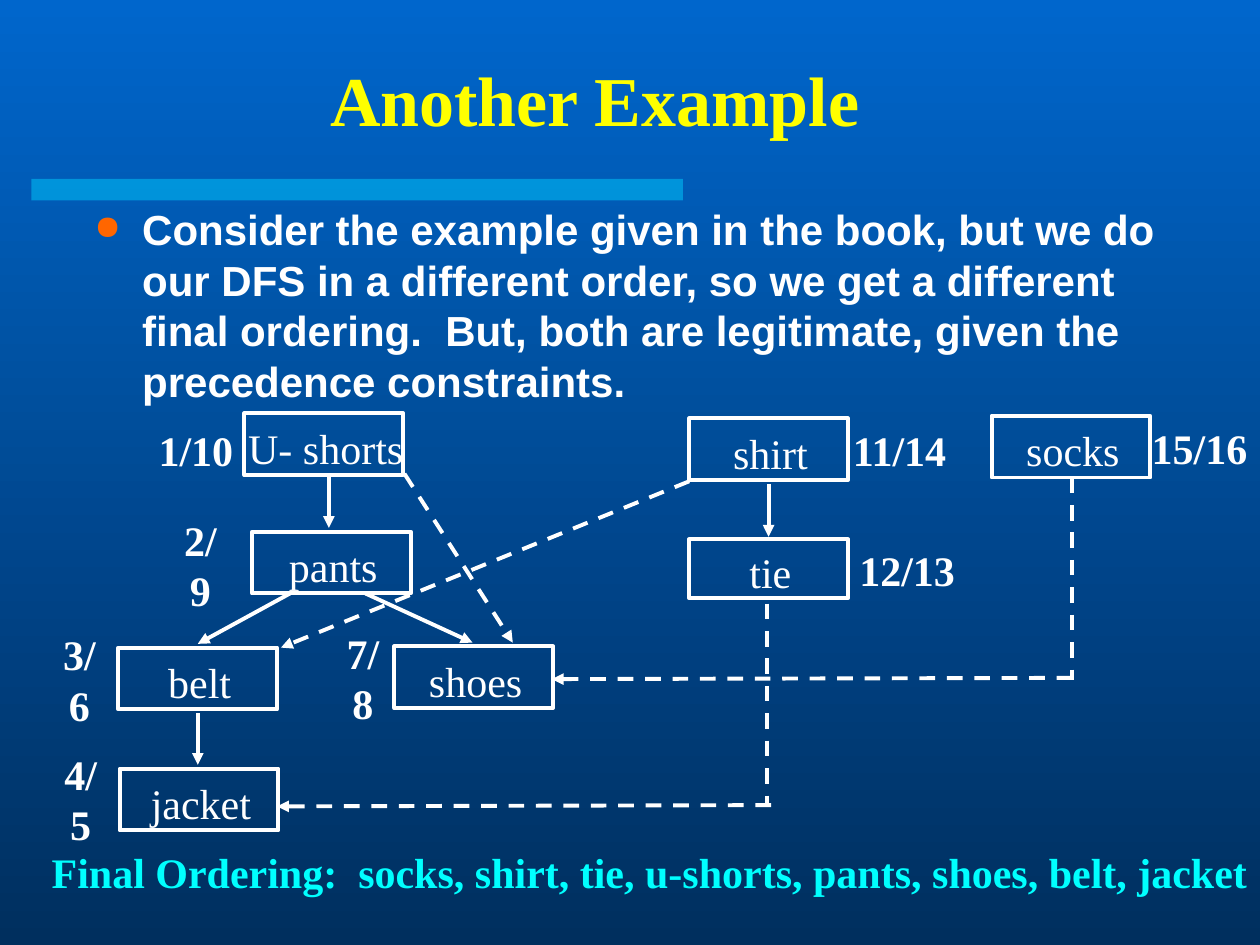
"""Build the slide that shows a topological ordering of clothes by DFS finish times."""
from lxml import etree
from pptx import Presentation
from pptx.dml.color import RGBColor
from pptx.enum import dml, shapes, text
from pptx.oxml import ns
from pptx.util import Inches, Pt

THEME = {
    "top": RGBColor.from_string("0066CC"),
    "bottom": RGBColor.from_string("002F5E"),
    "bar": RGBColor.from_string("00CCFF"),
    "title": RGBColor.from_string("FFFF00"),
    "ink": RGBColor.from_string("FFFFFF"),
    "result": RGBColor.from_string("00FFFF"),
    "bullet": "FF6600",
    "serif": "Times New Roman",
    "sans": "Arial",
    "title_size": Pt(40),
    "size": Pt(24),
    "line": Pt(2.25),
}


def write(shape, words, color="ink", face="serif", size="size", bold=True,
          align=text.PP_ALIGN.CENTER, **frame_format):
    frame = shape.text_frame
    settings = {"word_wrap": False, "vertical_anchor": text.MSO_ANCHOR.MIDDLE, **frame_format}
    for name, value in settings.items():
        setattr(frame, name, value)
    para = frame.paragraphs[0]
    para.alignment = align
    span = para.add_run()
    span.text = words
    for name, value in {"name": THEME[face], "size": THEME[size], "bold": bold}.items():
        setattr(span.font, name, value)
    span.font.color.rgb = THEME[color]
    return para


def add_xml(parent, tag, **attributes):
    return etree.SubElement(parent, ns.qn(tag), attributes)


deck = Presentation()
deck.slide_width, deck.slide_height = Inches(10), Inches(7.5)
page = deck.slides.add_slide(deck.slide_layouts[5])

backdrop = page.background.fill
backdrop.gradient()
backdrop.gradient_angle = 270
for stop, position, shade in zip(backdrop.gradient_stops, (0, 1), ("top", "bottom")):
    stop.position = position
    stop.color.rgb = THEME[shade]

bar = page.shapes.add_shape(shapes.MSO_SHAPE.RECTANGLE, Inches(0.25), Inches(1.42),
                            Inches(5.17), Inches(0.17))
bar.shadow.inherit = False
bar.line.fill.background()
bar.fill.solid()
bar.fill.fore_color.rgb = THEME["bar"]
add_xml(bar.fill._xPr.find(ns.qn("a:solidFill"))[0], "a:alpha", val="50000")

title = page.shapes.title
place = {"left": 0.29, "top": 0.32, "width": 8.86, "height": 0.93}
for name, value in place.items():
    setattr(title, name, Inches(value))
write(title, "Another Example", "title", size="title_size", word_wrap=True)

body = page.shapes.add_textbox(Inches(0.65), Inches(1.57), Inches(8.92), Inches(1.7))
para = write(
    body,
    "Consider the example given in the book, but we do our DFS in a different order, "
    "so we get a different final ordering.  But, both are legitimate, given the "
    "precedence constraints.",
    face="sans", align=text.PP_ALIGN.LEFT, word_wrap=True, vertical_anchor=text.MSO_ANCHOR.TOP)
layout = para._p.get_or_add_pPr()
for name, length in {"marL": Inches(0.38), "indent": Inches(-0.38)}.items():
    layout.set(name, str(length))
add_xml(add_xml(layout, "a:buClr"), "a:srgbClr", val=THEME["bullet"])
add_xml(layout, "a:buSzPct", val="80000")
add_xml(layout, "a:buChar", char="●")

garments = [
    ("U- shorts", 1.94, 3.28, 0.49, "1/10", 1.16, 3.32, 0.79),
    ("pants", 2, 4.22, 0.49, "2/9", 1.28, 4.23, 0.62),
    ("belt", 0.94, 5.14, 0.49, "3/6", 0.32, 5.14, 0.62),
    ("shoes", 3.13, 5.13, 0.49, "7/8", 2.57, 5.13, 0.62),
    ("jacket", 0.95, 6.1, 0.49, "4/5", 0.33, 6.09, 0.62),
    ("shirt", 5.47, 3.32, 0.49, "11/14", 6.66, 3.32, 0.96),
    ("tie", 5.47, 4.28, 0.47, "12/13", 6.72, 4.27, 0.96),
    ("socks", 7.87, 3.3, 0.49, "15/16", 9.04, 3.3, 0.96),
]
for garment, left, top, height, times, times_left, times_top, times_width in garments:
    box = page.shapes.add_shape(shapes.MSO_SHAPE.RECTANGLE, Inches(left), Inches(top),
                                Inches(1.26), Inches(height))
    box.shadow.inherit = False
    box.fill.background()
    box.line.color.rgb = THEME["ink"]
    box.line.width = THEME["line"]
    write(box, garment, bold=False, margin_left=Inches(0.03), margin_right=0,
          margin_top=Inches(0.05), margin_bottom=0)
    label = page.shapes.add_textbox(Inches(times_left), Inches(times_top),
                                    Inches(times_width), Inches(0.5))
    write(label, times)

edges = [
    (2.61, 3.77, 2.61, 4.19, False, True),
    (1.57, 5.66, 1.57, 6.07, False, True),
    (6.1, 3.84, 6.1, 4.26, False, True),
    (2.32, 4.7, 1.57, 5.11, False, True),
    (2.9, 4.71, 3.75, 5.1, False, True),
    (3.21, 3.76, 4.07, 5.1, True, True),
    (5.47, 3.82, 2.23, 5.14, True, True),
    (8.51, 3.79, 8.51, 5.4, True, False),
    (8.51, 5.38, 4.38, 5.39, True, True),
    (6.12, 6.39, 2.2, 6.4, True, True),
    (6.09, 4.79, 6.09, 6.4, True, False),
]
for *ends, dashed, arrow in edges:
    edge = page.shapes.add_connector(shapes.MSO_CONNECTOR.STRAIGHT, *map(Inches, ends))
    edge.line.color.rgb = THEME["ink"]
    edge.line.width = THEME["line"]
    if dashed:
        edge.line.dash_style = dml.MSO_LINE.DASH
    if arrow:
        add_xml(edge.line._get_or_add_ln(), "a:tailEnd", type="triangle")
    add_xml(edge._element.spPr, "a:effectLst")

result = page.shapes.add_textbox(Inches(0.31), Inches(6.67), Inches(9.69), Inches(0.5))
write(result, "Final Ordering:  socks, shirt, tie, u-shorts, pants, shoes, belt, jacket", "result")

deck.save("out.pptx")
